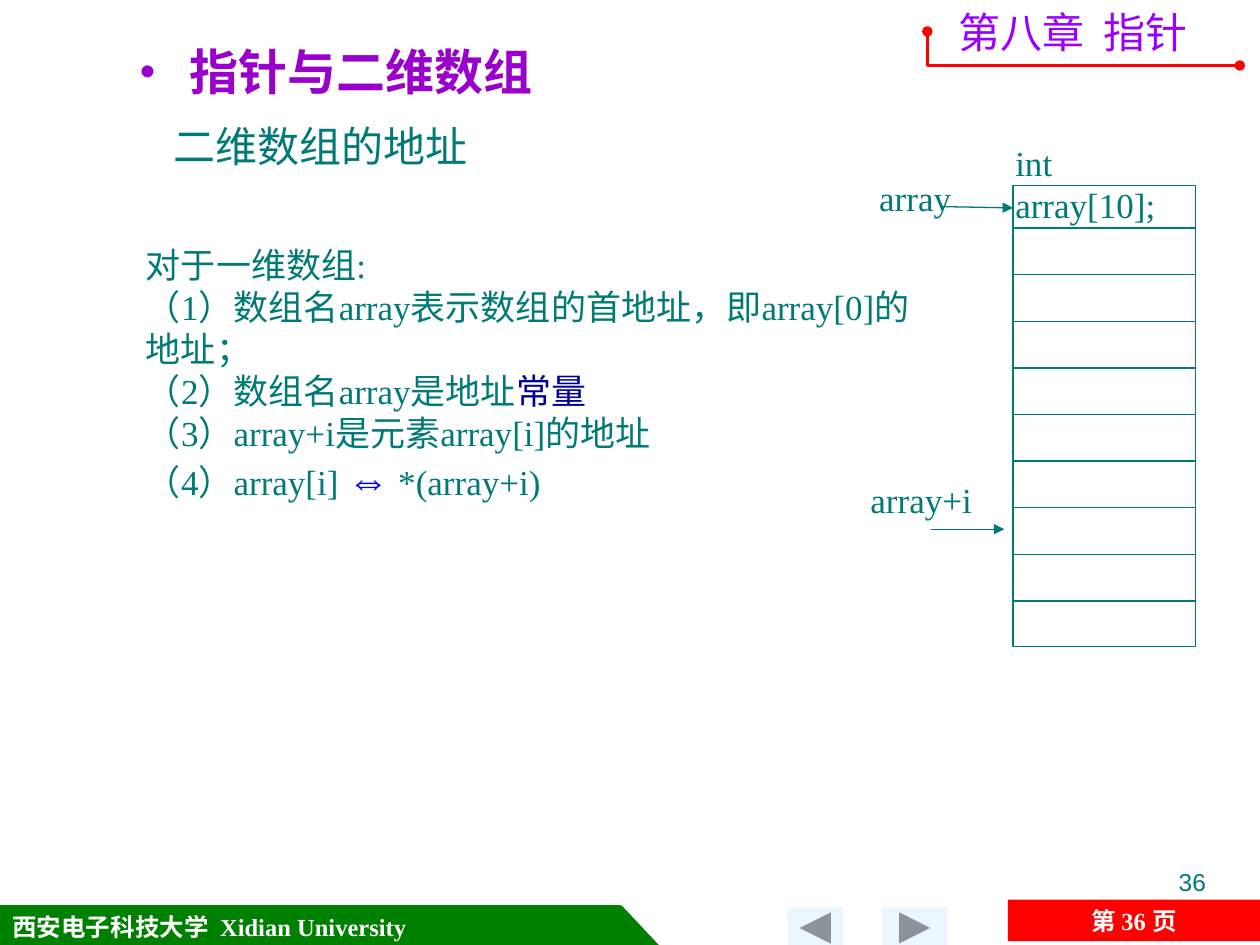
from lxml import etree
from pptx import Presentation
from pptx.dml.color import RGBColor
from pptx.enum import shapes, text
from pptx.oxml.ns import qn
from pptx.util import Inches, Pt

TEAL, GREEN, RED, WHITE = "007A77", "008000", "FF0000", "FFFFFF"
TIMES, SANS, ARIAL = "Times New Roman", "Noto Sans CJK SC", "Arial"


def rgb(value):
    return RGBColor.from_string(value)


def inches(box):
    return [Inches(v) for v in box]


def add_run(p, words, size, color=TEAL, font=TIMES, bold=False):
    r = p.add_run()
    r.text = words
    r.font.size = Pt(size)
    r.font.name = font
    r.font.bold = bold
    r.font.color.rgb = rgb(color)


def add_text(s, box, words, size, color=TEAL, font=TIMES, wrap=False):
    tf = s.shapes.add_textbox(*inches(box)).text_frame
    tf.word_wrap = wrap
    if words:
        add_run(tf.paragraphs[0], words, size, color, font)
    return tf


def add_shape(s, kind, box, fill=None, line=None):
    sp = s.shapes.add_shape(kind, *inches(box))
    sp.shadow.inherit = False
    if fill:
        sp.fill.solid()
        sp.fill.fore_color.rgb = rgb(fill)
    else:
        sp.fill.background()
    if line:
        sp.line.color.rgb = rgb(line)
        sp.line.width = Pt(0.75)
    else:
        sp.line.fill.background()
    return sp


def set_ends(sp, **ends):
    ln = sp.line._get_or_add_ln()
    for tag, kind in ends.items():
        etree.SubElement(ln, qn(f"a:{tag}End"), type=kind)


def add_line(s, x1, y1, x2, y2):
    cn = s.shapes.add_connector(shapes.MSO_CONNECTOR.STRAIGHT, *inches((x1, y1, x2, y2)))
    cn.line.color.rgb = rgb(TEAL)
    cn.line.width = Pt(0.75)
    etree.SubElement(cn._element.spPr, qn("a:effectLst"))
    return cn


def add_footer(s, x, y, w, h):
    kinds = shapes.MSO_SHAPE
    # University band with slanted end
    band = add_shape(s, kinds.RECTANGLE, (x, y, 4.92, h), GREEN, GREEN)
    tf = band.text_frame
    tf.vertical_anchor = text.MSO_ANCHOR.MIDDLE
    tf.paragraphs[0].alignment = text.PP_ALIGN.LEFT
    add_run(tf.paragraphs[0], "西安电子科技大学  Xidian University", 14, WHITE, bold=True)
    add_shape(s, kinds.RIGHT_TRIANGLE, (x + 4.93, y, 0.31, h), GREEN, GREEN)
    # Navigation buttons
    for left, width, turn in ((7, 0.52, 0), (6.25, 0.44, 180)):
        button = add_shape(s, kinds.ACTION_BUTTON_FORWARD_OR_NEXT,
                           (x + left, y + 0.01, width, h), "EBF7FF")
        button.rotation = turn
    # Page badge
    badge = add_shape(s, kinds.RECTANGLE, (x + w - 2, y - 0.05, 2, h), RED)
    p = badge.text_frame.paragraphs[0]
    p.alignment = text.PP_ALIGN.CENTER
    for words, font in (("第 ", SANS), ("36 ", TIMES), ("页", SANS)):
        add_run(p, words, 14, WHITE, font, True)
    # Slide number
    tf = add_text(s, (7.17, 6.83, 2.5, 0.52), "36", 14, font=ARIAL, wrap=True)
    tf.paragraphs[0].alignment = text.PP_ALIGN.RIGHT


def add_chapter(s, x, y, w, h):
    add_text(s, (x + 0.15, y - 0.25, 2.2, 0.5), "第八章  指针", 24, "9900FF", SANS)
    builder = s.shapes.build_freeform(Inches(x), Inches(y))
    builder.add_line_segments([inches((x, y + h)), inches((x + w, y + h))], close=False)
    rule = builder.convert_to_shape()
    rule.shadow.inherit = False
    rule.fill.background()
    rule.line.color.rgb = rgb(RED)
    rule.line.width = Pt(1.5)
    set_ends(rule, head="oval", tail="oval")


def add_heading(s, x, y, w, h):
    title = s.shapes.title
    title.left, title.top, title.width, title.height = inches((x, y, w, h))
    tf = title.text_frame
    tf.vertical_anchor = text.MSO_ANCHOR.TOP
    tf.auto_size = text.MSO_AUTO_SIZE.NONE
    p = tf.paragraphs[0]
    p.alignment = text.PP_ALIGN.LEFT
    pPr = p._p.get_or_add_pPr()
    pPr.set("marL", str(Inches(0.81)))
    pPr.set("indent", str(-Inches(0.31)))
    color = etree.SubElement(pPr, qn("a:buClr"))
    etree.SubElement(color, qn("a:srgbClr"), val="9900CC")
    etree.SubElement(pPr, qn("a:buSzPct"), val="90000")
    etree.SubElement(pPr, qn("a:buFont"), typeface=ARIAL)
    etree.SubElement(pPr, qn("a:buChar"), char="•")
    add_run(p, " 指针与二维数组", 28, "9900CC", ARIAL, True)


def add_subheading(s, x, y, w, h):
    tf = add_text(s, (x, y, w, h), "二维数组的地址", 24, wrap=True)
    tf.margin_left, tf.margin_top = Inches(1.1), Inches(0.42)


def add_notes_on_arrays(s, x, y, w, h):
    lines = [
        [("对于一维数组:", 20, TEAL)],
        [("（1）数组名array表示数组的首地址，即array[0]的地址；", 20, TEAL)],
        [("（2）数组名array是地址", 20, TEAL), ("常量", 20, "000099")],
        [("（3）array+i是元素array[i]的地址", 20, TEAL)],
        [("（4）array[i] ", 20, TEAL), ("⇔", 24, "0000FF"), (" *(array+i)", 20, TEAL)],
    ]
    tf = add_text(s, (x, y, w, h), "", 20, wrap=True)
    for i, runs in enumerate(lines):
        p = tf.add_paragraph() if i else tf.paragraphs[0]
        for run in runs:
            add_run(p, *run)


def add_memory(s, x, y, w, h, cells=10):
    # Column of cells
    add_shape(s, shapes.MSO_SHAPE.RECTANGLE, (x, y, w, h), line=TEAL)
    pitch = 0.37
    for i in range(1, cells):
        row = y + h - 0.36 - pitch * (cells - 1 - i)
        add_line(s, x, row, x + w, row)
    # Pointers to the first cell and to cell i
    for x1, y1, x2, y2 in ((x - 0.57, 1.64, x, 1.65), (x - 0.65, 4.2, x - 0.07, 4.2)):
        set_ends(add_line(s, x1, y1, x2, y2), tail="triangle")
    add_text(s, (6.88, 1.35, 0.77, 0.43), "array", 20)
    add_text(s, (6.81, 3.75, 1.01, 0.44), "array+i", 20)
    # Declaration, on two lines
    p = add_text(s, (x - 0.08, y - 0.4, 1.74, 0.43), "int", 20).paragraphs[0]
    p.add_line_break()
    add_run(p, "array[10];", 20)


def main():
    prs = Presentation()
    prs.slide_width, prs.slide_height = Inches(10), Inches(7.5)
    s = prs.slides.add_slide(prs.slide_layouts[5])
    add_footer(s, 0, 7.19, 10, 0.33)
    add_subheading(s, 0.28, 0.54, 9.43, 0.97)
    add_notes_on_arrays(s, 1.06, 1.88, 6.28, 2.17)
    add_memory(s, 8.04, 1.47, 1.45, 3.66)
    add_heading(s, 0.51, 0.28, 7.17, 0.71)
    add_chapter(s, 7.36, 0.25, 2.48, 0.27)
    prs.save("out.pptx")


if __name__ == "__main__":
    main()
